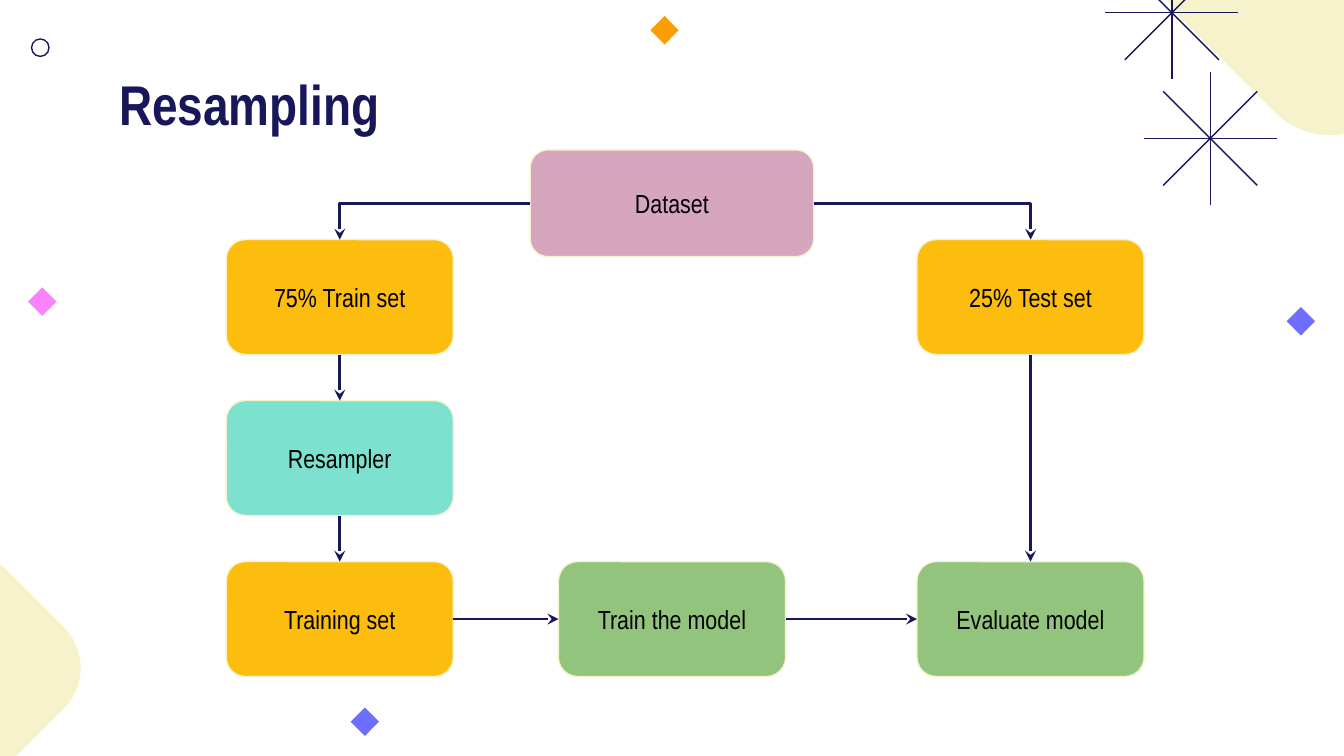
import dataclasses

import pptx
import pptx.dml.color
import pptx.enum.shapes
import pptx.enum.text
import pptx.oxml
import pptx.oxml.ns
import pptx.util

SHAPE = pptx.enum.shapes.MSO_SHAPE
CONNECTOR = pptx.enum.shapes.MSO_CONNECTOR
ANCHOR = pptx.enum.text.MSO_ANCHOR
ALIGN = pptx.enum.text.PP_ALIGN
TOP, LEFT, BOTTOM, RIGHT = range(4)


@dataclasses.dataclass(frozen=True)
class Theme:
    font: str = "Arial Narrow"
    title_size: float = 30
    label_size: float = 14
    thin: float = 0.75
    thick: float = 1.5
    navy: str = "17175A"
    black: str = "000000"
    cream: str = "F6F2CC"
    mauve: str = "D5A6BD"
    amber: str = "FCBD0E"
    mint: str = "7CE1CF"
    green: str = "93C47D"
    pink: str = "FC81FD"
    violet: str = "6E6FFF"
    orange: str = "FA9D02"


def rgb(value):
    return pptx.dml.color.RGBColor.from_string(value)


def write(sp, text, font, size, color, bold=False, align=ALIGN.LEFT, anchor=ANCHOR.MIDDLE):
    tf = sp.text_frame
    tf.word_wrap = True
    tf.vertical_anchor = anchor
    tf.margin_left = tf.margin_right = pptx.util.Inches(0.1)
    tf.margin_top = tf.margin_bottom = pptx.util.Inches(0.1)
    p = tf.paragraphs[0]
    p.alignment = align
    r = p.add_run()
    r.text = text
    r.font.name = font
    r.font.size = pptx.util.Pt(size)
    r.font.bold = bold
    r.font.color.rgb = rgb(color)


class Board:
    COLS, ROWS = 100, 56.25

    def __init__(self, prs, theme):
        self.theme = theme
        self.s = prs.slides.add_slide(prs.slide_layouts[6])
        self.col = prs.slide_width / self.COLS
        self.row = prs.slide_height / self.ROWS

    def place(self, *lengths):
        units = (self.col, self.row) * 2
        return [round(n * unit) for n, unit in zip(lengths, units)]

    def shape(self, kind, x, y, w, h, fill=None, line=None, rotation=0, corner=None):
        sp = self.s.shapes.add_shape(kind, *self.place(x, y, w, h))
        sp.shadow.inherit = False
        sp.rotation = rotation
        if corner is not None:
            sp.adjustments[0] = corner
        if fill:
            sp.fill.solid()
            sp.fill.fore_color.rgb = rgb(fill)
        else:
            sp.fill.background()
        if line:
            sp.line.color.rgb = rgb(line)
            sp.line.width = pptx.util.Pt(self.theme.thin)
        else:
            sp.line.fill.background()
        return sp

    def diamond(self, cx, cy, side, fill, corner=None):
        kind = SHAPE.ROUNDED_RECTANGLE if corner else SHAPE.RECTANGLE
        self.shape(kind, cx - side / 2, cy - side / 2, side, side, fill,
                   rotation=315, corner=corner)

    def title(self, text, x, y, w, h):
        sp = self.s.shapes.add_textbox(*self.place(x, y, w, h))
        write(sp, text, self.theme.font, self.theme.title_size, self.theme.navy,
              bold=True, anchor=ANCHOR.BOTTOM)

    def box(self, text, x, y, fill, w=16.9, h=8.55):
        sp = self.shape(SHAPE.ROUNDED_RECTANGLE, x, y, w, h, fill, self.theme.cream, corner=0.167)
        write(sp, text, self.theme.font, self.theme.label_size, self.theme.black,
              align=ALIGN.CENTER)
        return sp

    def line(self, x1, y1, x2, y2, width):
        cxn = self.s.shapes.add_connector(CONNECTOR.STRAIGHT, *self.place(x1, y1, x2, y2))
        cxn.line.color.rgb = rgb(self.theme.navy)
        cxn.line.width = pptx.util.Pt(width)
        effects = pptx.oxml.parse_xml(f'<a:effectLst {pptx.oxml.ns.nsdecls("a")}/>')
        cxn._element.spPr.append(effects)
        return cxn

    def star(self, cx, cy, arm=4.95, diagonal=3.5):
        for dx, dy in ((0, arm), (arm, 0), (diagonal, -diagonal), (diagonal, diagonal)):
            self.line(cx - dx, cy - dy, cx + dx, cy + dy, self.theme.thin)

    def arrow(self, start, start_side, end, end_side):
        cxn = self.line(0, 0, 0, 0, self.theme.thick)
        cxn.begin_connect(start, start_side)
        cxn.end_connect(end, end_side)
        if (start_side - end_side) % 2:
            geom = cxn._element.spPr.find(pptx.oxml.ns.qn("a:prstGeom"))
            geom.set("prst", "bentConnector2")
        ln = cxn.line._get_or_add_ln()
        ln.append(pptx.oxml.parse_xml(
            f'<a:tailEnd {pptx.oxml.ns.nsdecls("a")} type="stealth"/>'))


def main():
    prs = pptx.Presentation()
    prs.slide_width = pptx.util.Pt(720)
    prs.slide_height = pptx.util.Pt(405)
    theme = Theme()
    board = Board(prs, theme)

    board.diamond(98.95, -2.75, 21.5, theme.cream, corner=0.27)
    board.diamond(-3.4, 49.7, 15.8, theme.cream, corner=0.27)
    board.star(87.2, 0.95)
    board.star(90.05, 10.3)
    for cx, cy, fill in ((3.15, 22.45, theme.pink), (27.15, 53.7, theme.violet),
                         (49.45, 2.25, theme.orange), (96.8, 23.9, theme.violet)):
        board.diamond(cx, cy, 1.5, fill)
    board.shape(SHAPE.OVAL, 2.35, 2.9, 1.3, 1.3, line=theme.navy)

    board.title("Resampling", 7.9, 4.9, 84.3, 6.25)

    left, middle, right = 16.83, 41.55, 68.23
    upper, centre, lower = (17.83 + 11.98 * i for i in range(3))
    dataset = board.box("Dataset", 39.45, 11.15, theme.mauve, w=21.1, h=7.95)
    train = board.box("75% Train set", left, upper, theme.amber)
    test = board.box("25% Test set", right, upper, theme.amber)
    resampler = board.box("Resampler", left, centre, theme.mint)
    training = board.box("Training set", left, lower, theme.amber)
    model = board.box("Train the model", middle, lower, theme.green)
    evaluate = board.box("Evaluate model", right, lower, theme.green)

    for link in ((dataset, LEFT, train, TOP), (dataset, RIGHT, test, TOP),
                 (train, BOTTOM, resampler, TOP), (resampler, BOTTOM, training, TOP),
                 (training, RIGHT, model, LEFT), (model, RIGHT, evaluate, LEFT),
                 (test, BOTTOM, evaluate, TOP)):
        board.arrow(*link)

    prs.save("out.pptx")


if __name__ == "__main__":
    main()
